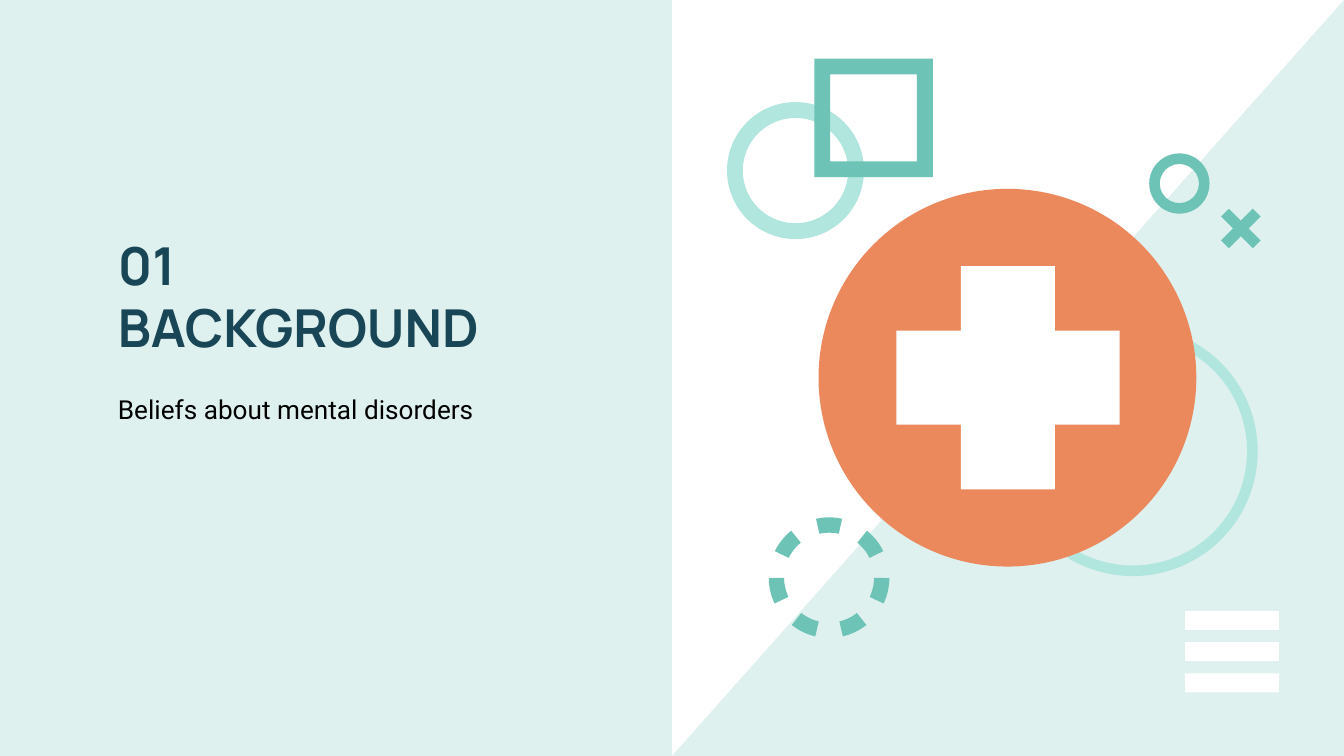
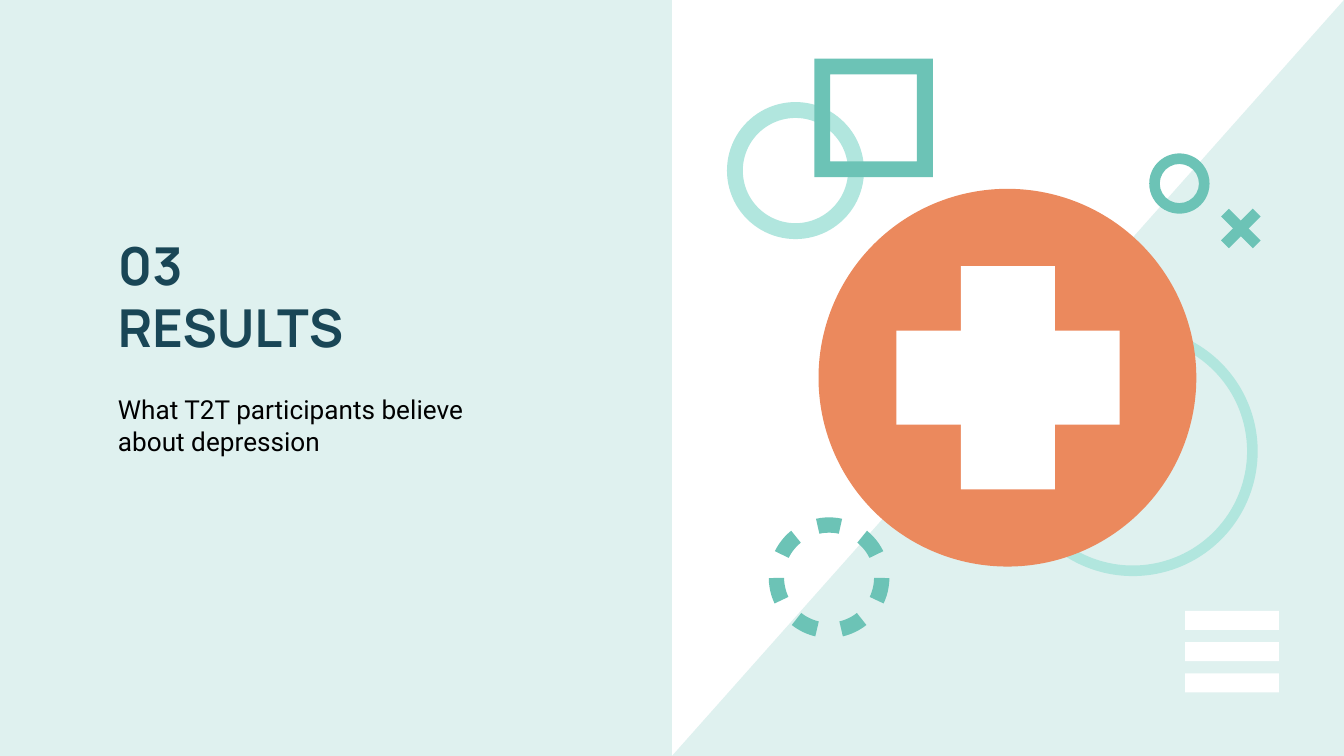
import math
import pptx
import pptx.util
import pptx.dml.color
import pptx.enum.shapes
import pptx.enum.text

Cm = pptx.util.Cm
Kind = pptx.enum.shapes.MSO_SHAPE
Anchor = pptx.enum.text.MSO_ANCHOR

WIDE, HIGH = 25.4, 14.29
HALF = WIDE / 2
PALE, MINT, TEAL = "DFF1EF", "B1E6DE", "6CC3B6"
CORAL, WHITE, NAVY, BLACK = "EB895D", "FFFFFF", "194656", "000000"


def tint(color, value):
    color.rgb = pptx.dml.color.RGBColor.from_string(value)


def paint(shape, value):
    shape.shadow.inherit = False
    shape.fill.solid()
    tint(shape.fill.fore_color, value)
    shape.line.fill.background()
    return shape


def block(slide, kind, left, top, width, height, color):
    shape = slide.shapes.add_shape(kind, Cm(left), Cm(top), Cm(width), Cm(height))
    return paint(shape, color)


def hollow(slide, kind, left, top, size, thick, color):
    shape = block(slide, kind, left, top, size, size, color)
    shape.adjustments[0] = thick / size


def cross(slide, x, y, length, width, turns, color):
    for turn in turns:
        bar = block(slide, Kind.RECTANGLE, x - width / 2, y - length / 2,
                    width, length, color)
        bar.rotation = turn


def outline(slide, loops, color):
    loops = [[(Cm(x), Cm(y)) for x, y in loop] for loop in loops]
    pen = slide.shapes.build_freeform(*loops[0][0])
    for loop in loops:
        pen.move_to(*loop[0])
        pen.add_line_segments(loop[1:], close=True)
    paint(pen.convert_to_shape(), color)


def dashes(slide, x, y, outer, inner, count, sweep, color):
    def spot(radius, angle):
        turn = math.radians(angle)
        return x + radius * math.sin(turn), y - radius * math.cos(turn)

    loops = []
    for index in range(count):
        mid = index * 360 / count
        angles = [mid - sweep / 2 + sweep * step / 6 for step in range(7)]
        loops.append([spot(outer, angle) for angle in angles]
                     + [spot(inner, angle) for angle in reversed(angles)])
    outline(slide, loops, color)


def words(slide, left, top, width, height, text, font, size, color,
          bold=False, anchor=Anchor.TOP, after=0):
    frame = slide.shapes.add_textbox(Cm(left), Cm(top), Cm(width), Cm(height)).text_frame
    frame.word_wrap = True
    frame.vertical_anchor = anchor
    frame.margin_left = frame.margin_right = Cm(0.25)
    frame.margin_top = frame.margin_bottom = Cm(0.25)
    frame.text = text
    for para in frame.paragraphs:
        para.space_after = pptx.util.Pt(after)
        for run in para.runs:
            run.font.name = font
            run.font.size = pptx.util.Pt(size)
            run.font.bold = bold
            tint(run.font.color, color)


def panels(slide):
    outline(slide, [[(WIDE, 0), (HALF, HIGH), (WIDE, HIGH)]], PALE)
    block(slide, Kind.RECTANGLE, 0, 0, HALF, HIGH, PALE)


def emblem(slide):
    hollow(slide, Kind.DONUT, 19.05, 6.17, 4.72, 0.2, MINT)
    block(slide, Kind.OVAL, 15.47, 3.57, 7.14, 7.14, CORAL)
    cross(slide, 19.05, 7.14, 4.22, 1.78, (0, 90), WHITE)
    dashes(slide, 15.67, 10.92, 1.14, 0.85, 7, 25, TEAL)
    hollow(slide, Kind.DONUT, 21.72, 2.9, 1.14, 0.2, TEAL)
    hollow(slide, Kind.DONUT, 13.74, 1.93, 2.59, 0.3, MINT)
    for row in range(3):
        block(slide, Kind.RECTANGLE, 22.4, 11.55 + row * 0.59, 1.77, 0.36, WHITE)
    cross(slide, 23.45, 4.32, 0.85, 0.21, (45, 135), TEAL)
    hollow(slide, Kind.FRAME, 15.39, 1.11, 2.24, 0.3, TEAL)


def section(deck, number, title, note):
    slide = deck.slides.add_slide(deck.slide_layouts[6])
    panels(slide)
    words(slide, 1.98, 4.17, 8.74, 2.84, f"{number}\n{title}", "Manrope", 28, NAVY,
          bold=True, anchor=Anchor.MIDDLE)
    words(slide, 1.98, 7.19, 7.49, 2.92, note, "Roboto", 14, BLACK, after=8)
    emblem(slide)


def main():
    deck = pptx.Presentation()
    deck.slide_width, deck.slide_height = Cm(WIDE), Cm(HIGH)
    section(deck, "01", "BACKGROUND", "Beliefs about mental disorders")
    section(deck, "03", "RESULTS", "What T2T participants believe about depression")
    deck.save("out.pptx")


if __name__ == "__main__":
    main()
